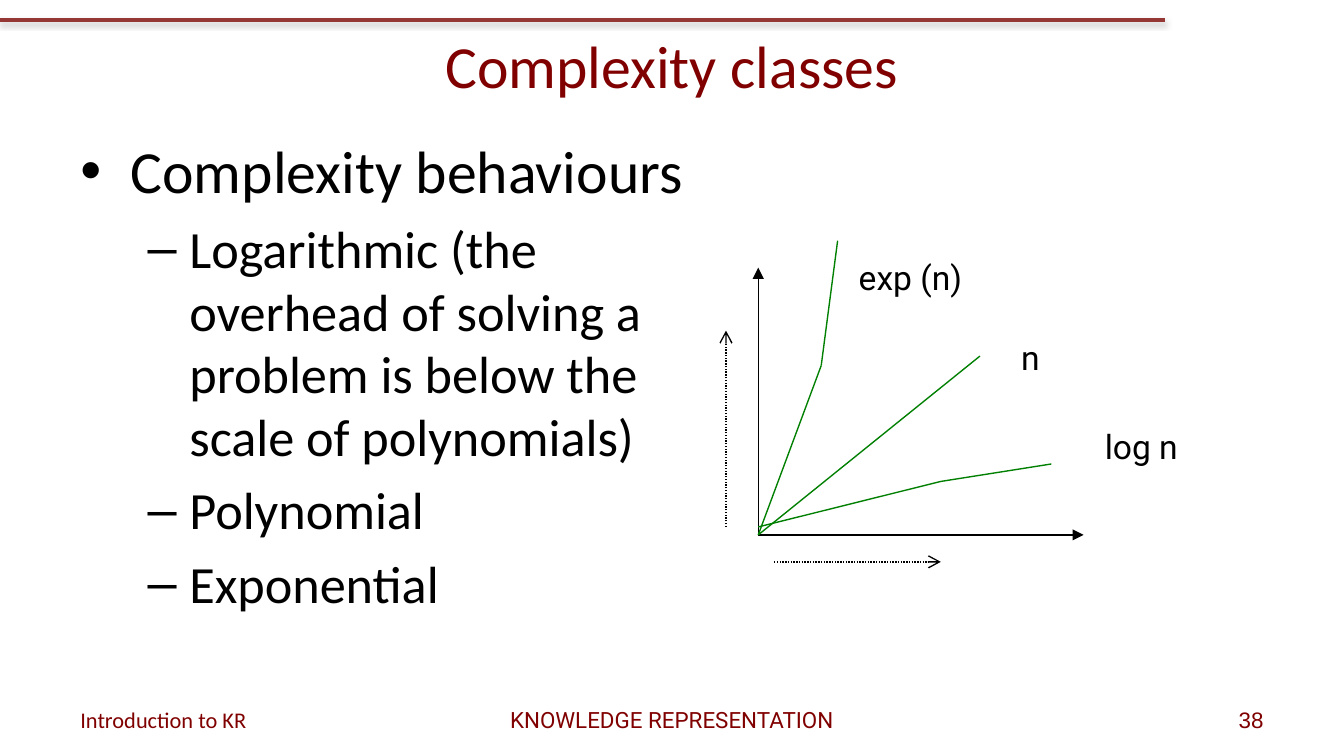
import itertools

import pptx
import pptx.dml.color
import pptx.enum.dml
import pptx.enum.shapes
import pptx.enum.text
import pptx.oxml
import pptx.oxml.ns
import pptx.util

Cm = pptx.util.Cm
Pt = pptx.util.Pt
ALIGN = pptx.enum.text.PP_ALIGN
ANCHOR = pptx.enum.text.MSO_ANCHOR

MAROON, RULE_RED, BLACK, GREEN = "800000", "953735", "000000", "008000"


def color(hex_code):
    return pptx.dml.color.RGBColor.from_string(hex_code)


def add_element(parent, xml):
    """Append a DrawingML element, given without its namespace declaration."""
    head, rest = xml.split(" ", 1)
    element = pptx.oxml.parse_xml(f"{head} {pptx.oxml.ns.nsdecls('a')} {rest}")
    parent.append(element)
    return element


def add_line(slide, start, end, hex_code, width=0.75, dotted=False, arrow=None):
    line = slide.shapes.add_connector(
        pptx.enum.shapes.MSO_CONNECTOR.STRAIGHT,
        *(Cm(value) for value in (*start, *end)))
    line.line.color.rgb = color(hex_code)
    line.line.width = Pt(width)
    if dotted:
        line.line.dash_style = pptx.enum.dml.MSO_LINE.ROUND_DOT
    if arrow:
        add_element(line.line._get_or_add_ln(), f'<a:tailEnd type="{arrow}"/>')
    return add_element(line._element.spPr, "<a:effectLst />")


def add_frame(slide, box, anchor=ANCHOR.TOP):
    frame = slide.shapes.add_textbox(*(Cm(value) for value in box)).text_frame
    frame.word_wrap = True
    frame.vertical_anchor = anchor
    return frame


def add_run(paragraph, text, size, font, hex_code):
    run = paragraph.add_run()
    run.text = text
    run.font.size = Pt(size)
    run.font.name = font
    run.font.color.rgb = color(hex_code)


def add_label(slide, box, text, size, font, hex_code,
              align=ALIGN.LEFT, anchor=ANCHOR.TOP):
    paragraph = add_frame(slide, box, anchor).paragraphs[0]
    paragraph.alignment = align
    add_run(paragraph, text, size, font, hex_code)


def add_header(slide, box):
    left, top, width, height = box
    # Rule across the top with a soft shadow below it
    effects = add_line(slide, (0, 0.38), (22.02, 0.38), RULE_RED, 2)
    add_element(effects,
                '<a:outerShdw blurRad="39370" dist="20320" dir="5400000" rotWithShape="0">'
                '<a:srgbClr val="808080"><a:alpha val="38000"/></a:srgbClr></a:outerShdw>')
    add_label(slide, (left, top, width, height), "Complexity classes",
              32, "Calibri", MAROON, ALIGN.CENTER, ANCHOR.MIDDLE)


def add_bullets(slide, box):
    # Level: bullet, text indent, hanging indent, text size
    levels = [("•", 0.95, 0.95, 32), ("–", 2.06, 0.79, 28)]
    items = [
        (0, "Complexity behaviours"),
        (1, "Logarithmic (the overhead of solving a problem is below the scale of polynomials)"),
        (1, "Polynomial"),
        (1, "Exponential"),
    ]
    frame = add_frame(slide, box)
    for index, (level, text) in enumerate(items):
        bullet, indent, hanging, size = levels[level]
        paragraph = frame.add_paragraph() if index else frame.paragraphs[0]
        paragraph.level = level
        if index:
            paragraph.space_before = Pt(0.2 * size)
        properties = paragraph._p.get_or_add_pPr()
        properties.set("marL", str(Cm(indent)))
        properties.set("indent", str(-Cm(hanging)))
        add_element(properties, '<a:buFont typeface="Arial"/>')
        add_element(properties, f'<a:buChar char="{bullet}"/>')
        add_run(paragraph, text, size, "Calibri", BLACK)


def add_growth_graph(slide, box):
    left, top, width, height = box

    def place(x, y):
        return left + x, top + y

    origin = (0.61, 5.56)

    # Axes, and dotted arrows showing the direction of growth
    for end in [(origin[0], 0.51), (width, origin[1])]:
        add_line(slide, place(*origin), place(*end), BLACK, arrow="triangle")
    for start, end in [((0.91, height), (4.06, height)), ((0, 5.41), (0, 1.7))]:
        add_line(slide, place(*start), place(*end), BLACK, dotted=True, arrow="arrow")

    # Curves, each with its points and its label's left, top and width
    curves = [
        ("n", [origin, (4.8, 2.18)], (5.33, 1.7, 1.65)),
        ("log n", [(0.61, 5.41), (4.06, 4.55), (6.15, 4.22)], (6.91, 3.38, 3.15)),
        ("exp (n)", [origin, (1.8, 2.36), (2.11, 0)], (2.26, 0.18, 3)),
    ]
    for name, points, (x, y, label_width) in curves:
        for start, end in itertools.pairwise(points):
            add_line(slide, place(*start), place(*end), GREEN)
        add_label(slide, (*place(x, y), label_width, 1.02), name, 18, "Roboto", BLACK)


def add_footer(slide, box):
    left, top, width, height = box
    side, middle = 5.92, 8.05
    parts = [
        ("Introduction to KR", left, side, "Calibri", ALIGN.LEFT),
        ("KNOWLEDGE REPRESENTATION", left + (width - middle) / 2, middle,
         "Roboto", ALIGN.CENTER),
        ("38", left + width - side, side, "Arial", ALIGN.RIGHT),
    ]
    for text, x, part_width, font, align in parts:
        add_label(slide, (x, top, part_width, height), text, 12, font, MAROON,
                  align, ANCHOR.MIDDLE)


def main():
    deck = pptx.Presentation()
    deck.slide_width, deck.slide_height = Cm(25.4), Cm(14.29)
    slide = deck.slides.add_slide(deck.slide_layouts[6])
    add_header(slide, (1.27, 0.03, 22.86, 2.39))
    add_bullets(slide, (1.27, 2.41, 12.88, 10.36))
    add_footer(slide, (1.27, 13.23, 22.86, 0.76))
    add_growth_graph(slide, (13.72, 4.55, 6.76, 6.07))
    deck.save("out.pptx")


if __name__ == "__main__":
    main()
